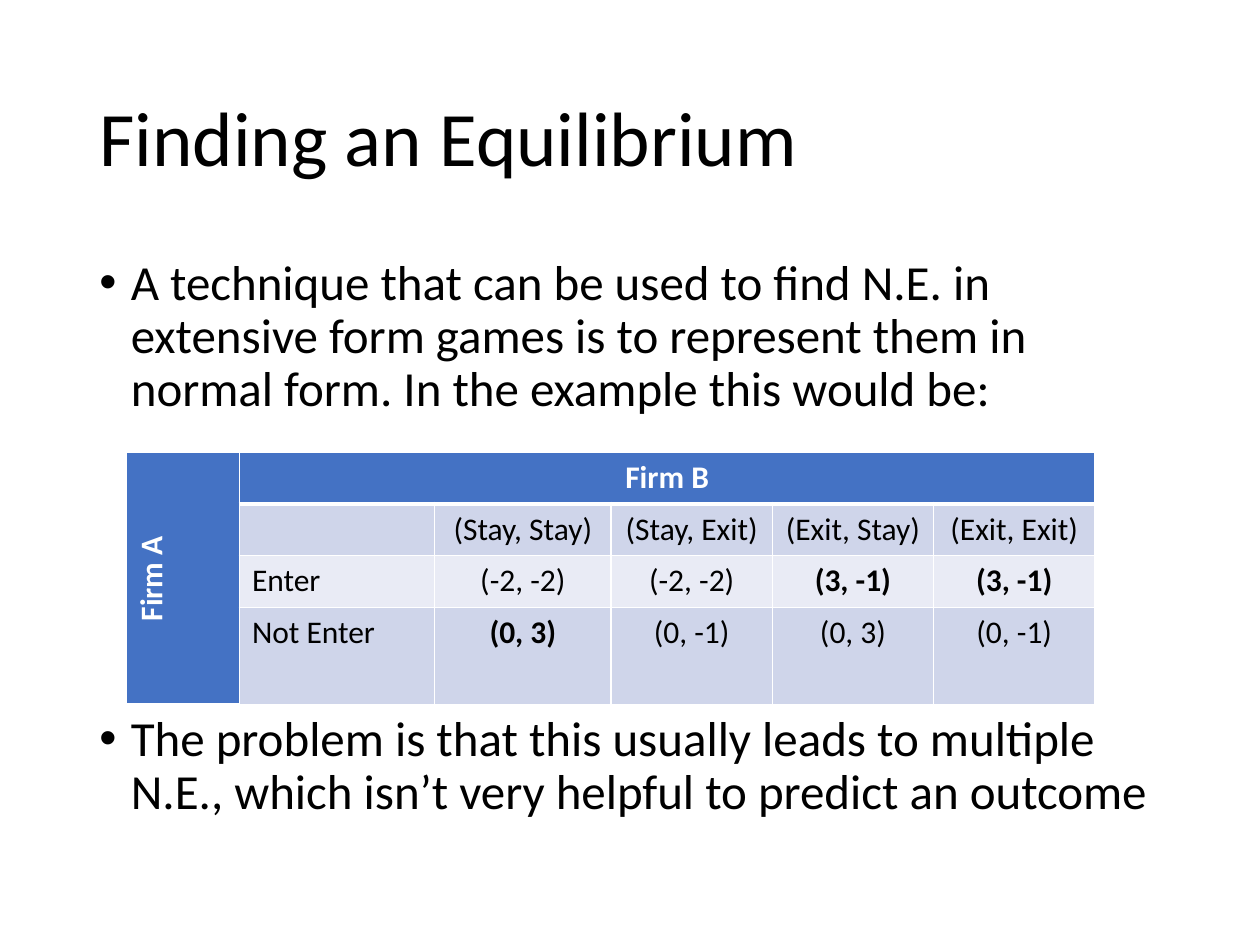
from lxml.etree import SubElement
from pptx import Presentation
from pptx.dml.color import RGBColor
from pptx.enum.text import MSO_ANCHOR, PP_ALIGN
from pptx.oxml.ns import qn
from pptx.util import Inches, Pt

WIDTH, HEIGHT = Inches(10), Inches(7.5)
LEFT, TEXT_WIDTH, TEXT_HEIGHT = 0.069, 0.862, 0.193
COLUMN_WIDTHS = [0.9, 1.55, 1.4, 1.28, 1.28, 1.28]
ROW_HEIGHT = 0.41
BLACK, WHITE, HEADER = "000000", "FFFFFF", "4472C4"
BANDS = ["CFD5EA", "E9EBF5"]
PAYOFFS = [
    ["Firm A", "Firm B", "", "", "", ""],
    ["", "", "(Stay, Stay)", "(Stay, Exit)", "(Exit, Stay)", "(Exit, Exit)"],
    ["", "Enter", "(-2, -2)", "(-2, -2)", "(3, -1)", "(3, -1)"],
    ["", "Not Enter", "(0, 3)", "(0, -1)", "(0, 3)", "(0, -1)"],
]
EQUILIBRIA = {(2, 4), (2, 5), (3, 2)}


def color(value):
    return RGBColor.from_string(value)


def write(paragraph, text, fill, **format_values):
    run = paragraph.add_run()
    run.text = text
    for name, value in {"name": "Calibri", **format_values}.items():
        setattr(run.font, name, value)
    run.font.color.rgb = color(fill)


def add_text(slide, top, text, size, anchor=MSO_ANCHOR.TOP):
    """Add a text box whose top is a share of the slide height."""
    shape = slide.shapes.add_textbox(
        int(WIDTH * LEFT), int(HEIGHT * top),
        int(WIDTH * TEXT_WIDTH), int(HEIGHT * TEXT_HEIGHT))
    frame = shape.text_frame
    frame.word_wrap = True
    frame.vertical_anchor = anchor
    paragraph = frame.paragraphs[0]
    paragraph.line_spacing = 0.9
    write(paragraph, text, BLACK, size=Pt(size))
    return paragraph


def add_bullet(slide, top, text):
    properties = add_text(slide, top, text, 28)._p.get_or_add_pPr()
    properties.set("marL", str(Inches(0.25)))
    properties.set("indent", str(-Inches(0.25)))
    SubElement(properties, qn("a:buFont"), typeface="Arial")
    SubElement(properties, qn("a:buChar"), char="•")


def set_borders(cell, top, bottom):
    """Draw white cell borders; top and bottom are widths in points."""
    properties = cell._tc.get_or_add_tcPr()
    for side, width in {"L": 1, "R": 1, "T": top, "B": bottom}.items():
        line = SubElement(properties, qn(f"a:ln{side}"), w=str(Pt(width)))
        fill = SubElement(line, qn("a:solidFill"))
        SubElement(fill, qn("a:srgbClr"), val=WHITE)


def style_cell(cell, row, column, text):
    is_header = row == 0 or column == 0
    set_borders(cell, top=3 if row == 1 else 1, bottom=3 if row == 0 else 1)
    cell.fill.solid()
    cell.fill.fore_color.rgb = color(HEADER if is_header else BANDS[(row - 1) % 2])
    if text:
        paragraph = cell.text_frame.paragraphs[0]
        if is_header or column > 1:
            paragraph.alignment = PP_ALIGN.CENTER
        write(paragraph, text, WHITE if is_header else BLACK, size=Pt(18),
              bold=is_header or (row, column) in EQUILIBRIA)


def add_payoff_table(slide):
    row_count, column_count = len(PAYOFFS), len(COLUMN_WIDTHS)
    table = slide.shapes.add_table(
        row_count, column_count, Inches(1), Inches(3.59),
        Inches(sum(COLUMN_WIDTHS)), Inches(ROW_HEIGHT * row_count)).table
    for column, width in zip(table.columns, COLUMN_WIDTHS):
        column.width = Inches(width)
    for row in table.rows:
        row.height = Inches(ROW_HEIGHT)
    for row, texts in enumerate(PAYOFFS):
        for column, text in enumerate(texts):
            style_cell(table.cell(row, column), row, column, text)
    table.cell(0, 0).merge(table.cell(row_count - 1, 0))
    table.cell(0, 1).merge(table.cell(0, column_count - 1))
    table.cell(0, 0)._tc.get_or_add_tcPr().set("vert", "vert270")


def main():
    presentation = Presentation()
    presentation.slide_width, presentation.slide_height = WIDTH, HEIGHT
    slide = presentation.slides.add_slide(presentation.slide_layouts[6])
    add_text(slide, 0.053, "Finding an Equilibrium", 44, MSO_ANCHOR.MIDDLE)
    add_bullet(slide, 0.267, "A technique that can be used to find N.E. in extensive form "
               "games is to represent them in normal form. In the example this would be:")
    add_payoff_table(slide)
    add_bullet(slide, 0.749, "The problem is that this usually leads to multiple N.E., "
               "which isn’t very helpful to predict an outcome")
    presentation.save("out.pptx")


if __name__ == "__main__":
    main()
